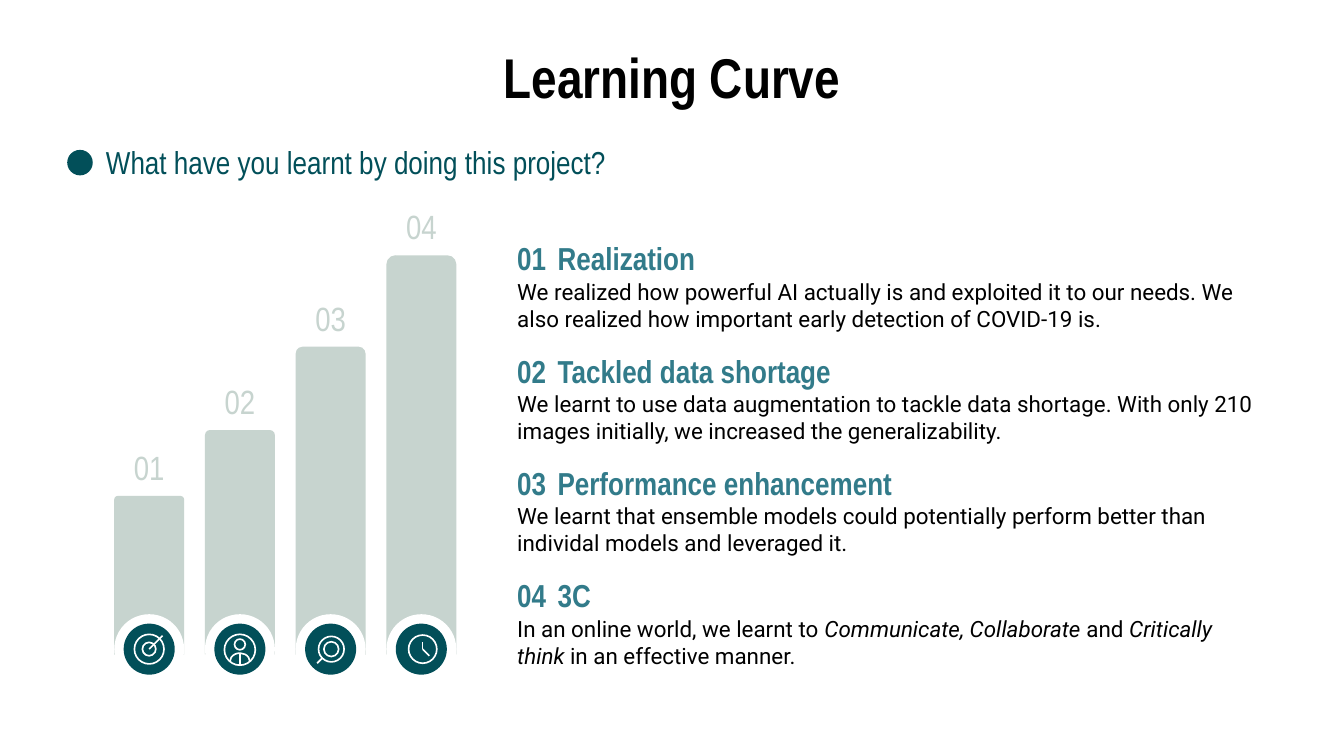
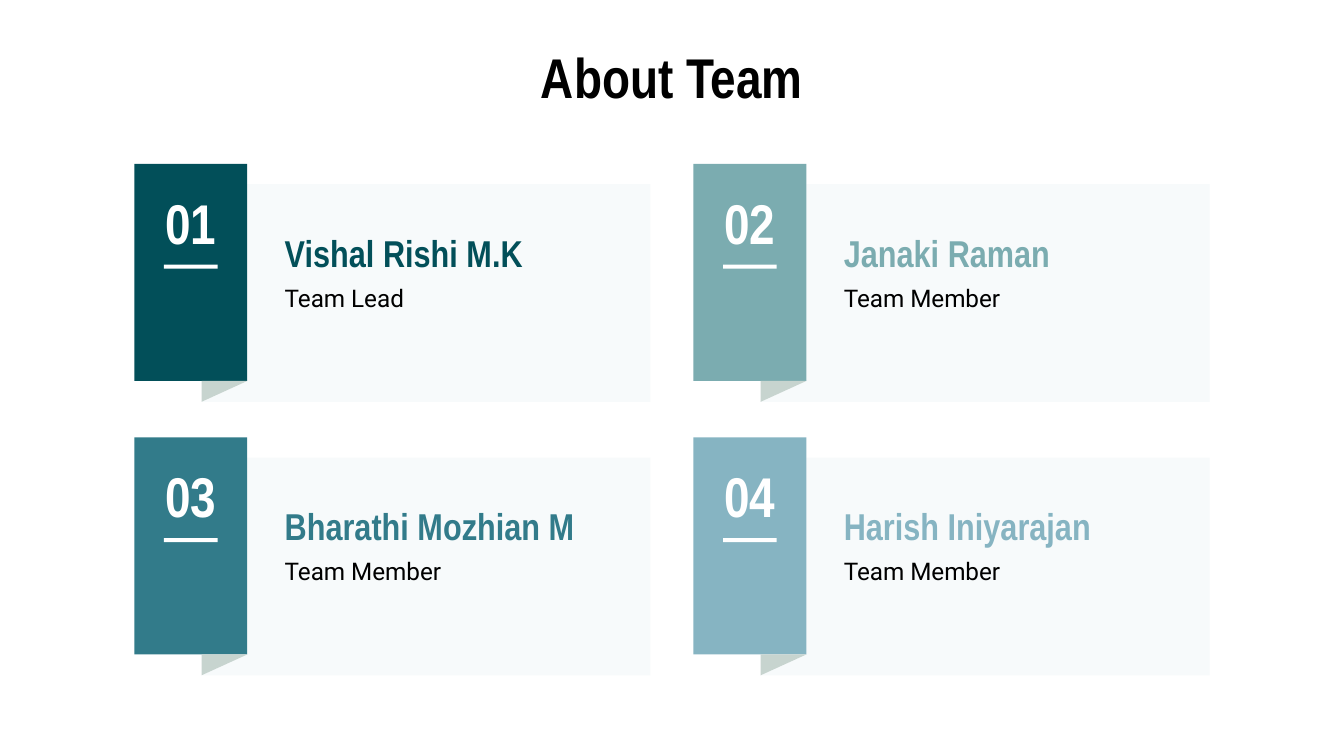
from dataclasses import dataclass

from lxml.etree import SubElement
from pptx import Presentation
from pptx.dml.color import RGBColor
from pptx.enum.shapes import MSO_CONNECTOR, MSO_SHAPE
from pptx.enum.text import MSO_ANCHOR, MSO_AUTO_SIZE, PP_ALIGN
from pptx.oxml.ns import qn
from pptx.util import Pt

PX = 4572
rgb = RGBColor.from_string


@dataclass(frozen=True)
class Theme:
    black: RGBColor = rgb("000000")
    white: RGBColor = rgb("FFFFFF")
    deep: RGBColor = rgb("024F59")
    teal: RGBColor = rgb("327B8A")
    sage: RGBColor = rgb("7BACB0")
    sky: RGBColor = rgb("86B4C2")
    grey: RGBColor = rgb("C7D4CF")
    panel: RGBColor = rgb("F7FAFB")
    head_font: str = "Arial Narrow"
    body_font: str = "Roboto"
    title: int = 30
    name: int = 20
    bar_label: int = 18
    heading: int = 17
    role: int = 13
    body: int = 12
    icon_line: float = 0.88


T = Theme()

BAR_TOPS = (738, 640, 516, 380)
LESSONS = (
    ("Realization", 438,
     ("We realized how powerful AI actually is and exploited it to our needs. "
      "We also realized how important early detection of COVID-19 is.",)),
    ("Tackled data shortage", 458,
     ("We learnt to use data augmentation to tackle data shortage. With only 210 "
      "images initially, we increased the generalizability.",)),
    ("Performance enhancement", 544,
     ("We learnt that ensemble models could potentially perform better than "
      "individal models and leveraged it.",)),
    ("3C", 976,
     ("In an online world, we learnt to ", "Communicate, Collaborate", " and ",
      "Critically think ", "in an effective manner.")),
)
TEAM = (
    ("Vishal Rishi M.K", "Team Lead", T.deep),
    ("Janaki Raman", "Team Member", T.sage),
    ("Bharathi Mozhian M", "Team Member", T.teal),
    ("Harish Iniyarajan", "Team Member", T.sky),
)


def emu(*lengths):
    return [n * PX for n in lengths]


def paint(sp, color):
    sp.shadow.inherit = False
    sp.fill.solid()
    sp.fill.fore_color.rgb = color
    sp.line.fill.background()


def outline(sp):
    sp.shadow.inherit = False
    sp.fill.background()
    sp.line.color.rgb = T.white
    sp.line.width = Pt(T.icon_line)


def add_solid(shapes, kind, box, color):
    sp = shapes.add_shape(kind, *emu(*box))
    paint(sp, color)
    return sp


def circle_box(cx, cy, radius):
    return cx - radius, cy - radius, 2 * radius, 2 * radius


def add_disc(shapes, cx, cy, radius, color):
    add_solid(shapes, MSO_SHAPE.OVAL, circle_box(cx, cy, radius), color)


def add_ring(shapes, cx, cy, radius):
    outline(shapes.add_shape(MSO_SHAPE.OVAL, *emu(*circle_box(cx, cy, radius))))


def add_stroke(shapes, x1, y1, x2, y2):
    line = shapes.add_connector(MSO_CONNECTOR.STRAIGHT, *emu(x1, y1, x2, y2))
    line.line.color.rgb = T.white
    line.line.width = Pt(T.icon_line)
    SubElement(line._element.spPr, qn("a:effectLst"))


def add_polygon(shapes, x, y, points, color):
    corners = [emu(x + dx, y + dy) for dx, dy in points]
    builder = shapes.build_freeform(*corners[0], scale=1.0)
    builder.add_line_segments(corners[1:], close=True)
    paint(builder.convert_to_shape(), color)


def format_text(tf, size, color, font, bold, align):
    tf.word_wrap = True
    tf.auto_size = MSO_AUTO_SIZE.NONE
    tf.vertical_anchor = MSO_ANCHOR.TOP
    tf.margin_left = tf.margin_right = tf.margin_top = tf.margin_bottom = 20 * PX
    for p in tf.paragraphs:
        p.alignment = align
        for r in p.runs:
            r.font.size = Pt(size)
            r.font.name = font
            r.font.bold = bold
            r.font.color.rgb = color


def add_text(shapes, box, text, size, color, font=T.head_font, bold=False,
             align=PP_ALIGN.LEFT):
    tf = shapes.add_textbox(*emu(*box)).text_frame
    tf.text = text
    format_text(tf, size, color, font, bold, align)


def add_mixed_text(shapes, box, parts):
    tf = shapes.add_textbox(*emu(*box)).text_frame
    for i, part in enumerate(parts):
        r = tf.paragraphs[0].add_run()
        r.text = part
        r.font.italic = i % 2 == 1
    format_text(tf, T.body, T.black, T.body_font, False, PP_ALIGN.LEFT)


def add_titled_slide(prs, text):
    slide = prs.slides.add_slide(prs.slide_layouts[5])
    title = slide.shapes.title
    title.left, title.top, title.width, title.height = emu(506, 44, 988, 136)
    title.text_frame.text = text
    format_text(title.text_frame, T.title, T.black, T.head_font, True, PP_ALIGN.CENTER)
    return slide


def draw_target(shapes, cx, cy):
    add_ring(shapes, cx, cy, 22)
    add_ring(shapes, cx, cy, 10)
    add_stroke(shapes, cx, cy, cx + 20, cy - 20)


def draw_person(shapes, cx, cy):
    add_ring(shapes, cx, cy - 7, 8)
    add_ring(shapes, cx, cy + 1, 23)
    shoulders = shapes.add_shape(MSO_SHAPE.ARC, *emu(cx - 15, cy + 6, 30, 26))
    shoulders.adjustments[0] = 108
    shoulders.adjustments[1] = 0
    outline(shoulders)
    add_stroke(shapes, cx, cy + 6, cx, cy + 23)


def draw_magnifier(shapes, cx, cy):
    add_ring(shapes, cx + 1, cy, 19)
    add_ring(shapes, cx + 1, cy, 11)
    add_stroke(shapes, cx - 20, cy + 21, cx - 12, cy + 13)


def draw_clock(shapes, cx, cy):
    add_ring(shapes, cx + 2, cy, 21)
    add_stroke(shapes, cx + 2, cy, cx + 12, cy + 10)
    add_stroke(shapes, cx + 2, cy - 10, cx + 2, cy)


ICONS = (draw_target, draw_person, draw_magnifier, draw_clock)


def add_bar(shapes, number, x, top, draw_icon):
    width, height = 104, 974 - top
    bar = add_solid(shapes, MSO_SHAPE.ROUND_2_SAME_RECTANGLE,
                    (x, top, width, height), T.grey)
    bar.adjustments[0] = height / 45 / width
    cx, cy = x + width // 2, 966
    add_disc(shapes, cx, cy, 52, T.white)
    add_disc(shapes, cx, cy, 38, T.deep)
    draw_icon(shapes, cx, cy)
    add_text(shapes, (x, top - 93, width, 76), number, T.bar_label, T.grey,
             align=PP_ALIGN.CENTER)


def add_lesson(shapes, number, y, heading, width, parts):
    group = shapes.add_group_shape().shapes
    add_text(group, (750, y, 88, 92), number, T.heading, T.teal, bold=True)
    add_mixed_text(group, (750, y + 58, 1144, 100), parts)
    add_text(group, (810, y, width, 92), heading, T.heading, T.teal, bold=True)


def add_member_card(shapes, number, x, y, name, role, color):
    group = shapes.add_group_shape().shapes
    add_polygon(group, x, y, ((168, 30), (168, 323), (100, 354), (768, 354), (768, 30)),
                T.panel)
    add_solid(group, MSO_SHAPE.RECTANGLE, (x, y, 168, 323), color)
    add_polygon(group, x, y, ((100, 323), (100, 354), (168, 323)), T.grey)
    add_text(group, (x, y + 16, 168, 166), number, T.title, T.white, bold=True,
             align=PP_ALIGN.CENTER)
    add_solid(group, MSO_SHAPE.RECTANGLE, (x + 44, y + 150, 80, 6), T.white)
    add_text(group, (x + 204, y + 78, 530, 92), name, T.name, color, bold=True)
    add_text(group, (x + 204, y + 157, 530, 128), role, T.role, T.black, T.body_font)


def build_learning_curve(prs):
    shapes = add_titled_slide(prs, "Learning Curve").shapes
    add_disc(shapes, 119, 242, 19, T.deep)
    add_text(shapes, (138, 192, 1308, 92), "What have you learnt by doing this project?",
             T.heading, T.deep)
    for i, (top, draw_icon) in enumerate(zip(BAR_TOPS, ICONS)):
        add_bar(shapes, f"{i + 1:02}", 170 + 135 * i, top, draw_icon)
    for i, lesson in enumerate(LESSONS):
        add_lesson(shapes, f"{i + 1:02}", 336 + 167 * i, *lesson)


def build_team(prs):
    shapes = add_titled_slide(prs, "About Team").shapes
    for i, member in enumerate(TEAM):
        row, col = divmod(i, 2)
        add_member_card(shapes, f"{i + 1:02}", 200 + 832 * col, 244 + 407 * row, *member)


def main():
    prs = Presentation()
    prs.slide_width, prs.slide_height = emu(2000, 1125)
    build_learning_curve(prs)
    build_team(prs)
    prs.save("out.pptx")


if __name__ == "__main__":
    main()
